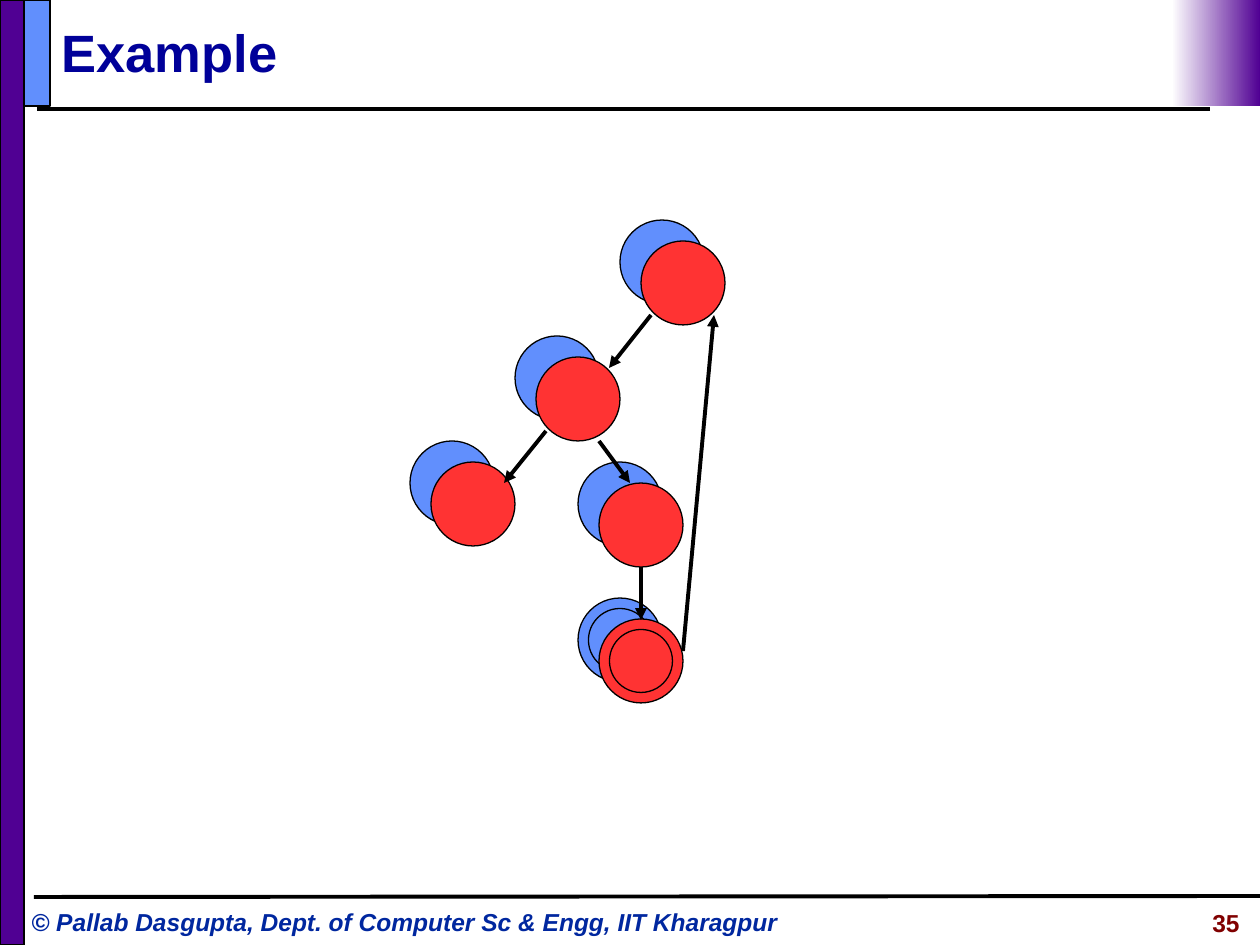
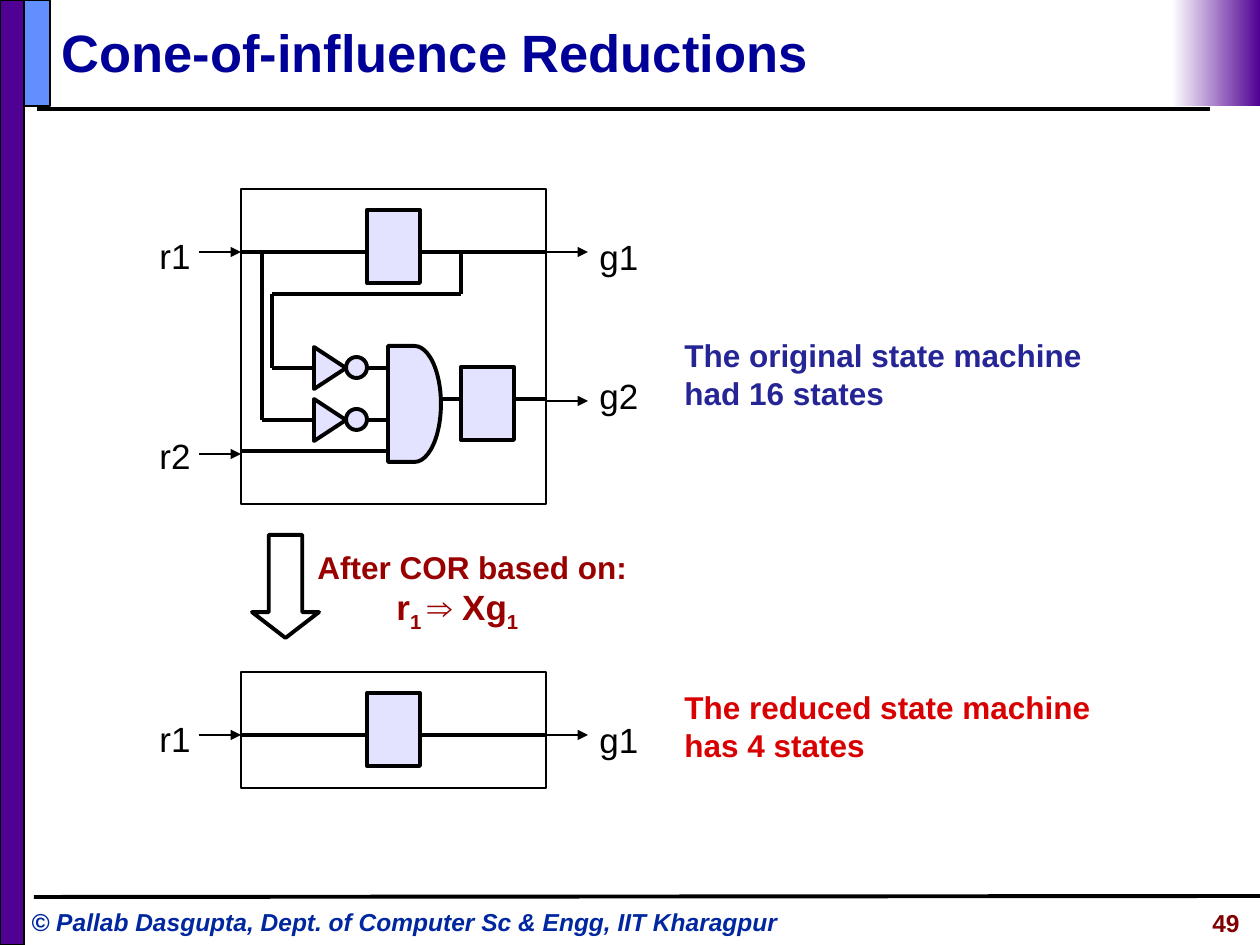
from lxml import etree
from pptx import Presentation
from pptx.dml.color import RGBColor
from pptx.enum.shapes import MSO_CONNECTOR as CONN, MSO_SHAPE as SHAPE
from pptx.enum.text import MSO_ANCHOR as ANCHOR, MSO_AUTO_SIZE as FIT, PP_ALIGN as ALIGN
from pptx.oxml.ns import qn
from pptx.util import Emu, Pt

BLACK = RGBColor(0x00, 0x00, 0x00)
WHITE = RGBColor(0xFF, 0xFF, 0xFF)
PURPLE = RGBColor(0x50, 0x00, 0x93)
BLUE = RGBColor(0x61, 0x8F, 0xFD)
RED = RGBColor(0xFF, 0x33, 0x33)
LILAC = RGBColor(0xE3, 0xE3, 0xFF)
TITLE_BLUE = RGBColor(0x00, 0x00, 0x99)
FOOTER_BLUE = RGBColor(0x00, 0x27, 0x9F)
PAGE_RED = RGBColor(0x80, 0x00, 0x00)
COR_RED = RGBColor(0x99, 0x00, 0x00)
BEFORE_BLUE = RGBColor(0x25, 0x25, 0x95)
AFTER_RED = RGBColor(0xD8, 0x00, 0x00)

FONT = "Arial"
THIN, THICK = 0.75, 2.25
PAGE_W, PAGE_H = 1260, 945
FOOTER = "© Pallab Dasgupta, Dept. of Computer Sc & Engg, IIT Kharagpur"


def px(n):
    """Turn slide pixels into EMU."""
    return Emu(round(n * 914400 / 126))


def style_paragraph(p, size, color, bold=False, italic=False, align=ALIGN.LEFT):
    """Set the font and alignment of one paragraph."""
    p.alignment = align
    f = p.font
    f.name, f.size, f.bold, f.italic = FONT, Pt(size), bold, italic
    f.color.rgb = color


def add_text(shapes, box, lines, size, color, **style):
    """Add a text box with one paragraph per line."""
    tf = shapes.add_textbox(*map(px, box)).text_frame
    tf.word_wrap = True
    tf.text = "\n".join(lines)
    for p in tf.paragraphs:
        style_paragraph(p, size, color, **style)
    return tf


def add_shape(shapes, kind, box, fill=None, weight=THIN):
    """Add a preset shape with a black outline."""
    s = shapes.add_shape(kind, *map(px, box))
    s.shadow.inherit = False
    if fill is None:
        s.fill.background()
    else:
        s.fill.solid()
        s.fill.fore_color.rgb = fill
    s.line.color.rgb = BLACK
    s.line.width = Pt(weight)
    return s


def add_line(shapes, start, end, weight=THICK, arrow=False):
    """Add a straight black line, with an arrowhead at its end if asked."""
    c = shapes.add_connector(CONN.STRAIGHT, *map(px, (*start, *end)))
    c.line.color.rgb = BLACK
    c.line.width = Pt(weight)
    if arrow:
        etree.SubElement(c.line._get_or_add_ln(), qn("a:tailEnd"), type="triangle")
    etree.SubElement(c._element.spPr, qn("a:effectLst"))


def add_wire(shapes, origin, points):
    """Draw thick lines through points given relative to an origin."""
    x, y = origin
    spots = [(x + dx, y + dy) for dx, dy in points]
    for start, end in zip(spots, spots[1:]):
        add_line(shapes, start, end)


def add_framed_slide(prs, title, number):
    """Add a slide with the shared title, bands, rules and footer."""
    slide = prs.slides.add_slide(prs.slide_layouts[5])
    shapes = slide.shapes
    add_line(shapes, (37, 109), (1210, 109))
    add_text(shapes, (19, 901, 803, 43), [FOOTER], 14, FOOTER_BLUE, bold=True, italic=True)
    add_shape(shapes, SHAPE.RECTANGLE, (0, 0, 24, PAGE_H), PURPLE, 1)
    add_line(shapes, (34, 897), (PAGE_W, 896))
    add_shape(shapes, SHAPE.RECTANGLE, (24, 0, 26, 106), BLUE, 1)

    fade = add_shape(shapes, SHAPE.RECTANGLE, (1172, 0, 88, 106))
    fade.line.fill.background()
    fade.fill.gradient()
    fade.fill.gradient_angle = 180
    for stop, color in zip(fade.fill.gradient_stops, (PURPLE, WHITE)):
        stop.color.rgb = color

    head = shapes.title
    head.left, head.top, head.width, head.height = map(px, (49, 13, 1147, 77))
    tf = head.text_frame
    tf.text = title
    tf.auto_size = FIT.NONE
    tf.vertical_anchor = ANCHOR.MIDDLE
    style_paragraph(tf.paragraphs[0], 30, TITLE_BLUE, bold=True)
    add_text(shapes, (1031, 902, 221, 44), [str(number)], 14, PAGE_RED,
             bold=True, align=ALIGN.RIGHT)
    return slide


def draw_state_graph(shapes, origin):
    """Draw paired state circles and their transitions."""
    x, y = origin
    size, shift, ring = 84, 21, 63
    states = [(0, 221), (105, 116), (168, 242), (168, 378), (210, 0)]
    accepting = states[3]
    transitions = [
        ((273, 431), (304, 95)), ((241, 95), (199, 148)), ((136, 211), (94, 263)),
        ((189, 221), (220, 263)), ((231, 347), (231, 400)),
    ]

    def circle(state, offset, diameter, fill):
        """Draw one circle of a state."""
        add_shape(shapes, SHAPE.OVAL,
                  (x + state[0] + offset, y + state[1] + offset, diameter, diameter), fill)

    inset = (size - ring) / 2
    for state in states:
        circle(state, 0, size, BLUE)
    circle(accepting, inset, ring, BLUE)
    for state in states:
        circle(state, shift, size, RED)
    for (x1, y1), (x2, y2) in transitions:
        add_line(shapes, (x + x1, y + y1), (x + x2, y + y2), arrow=True)
    circle(accepting, shift + inset, ring, RED)


def draw_port(shapes, box, name, wire_y, label_y):
    """Draw an input (r) or output (g) arrow and its label."""
    x, y, w, _ = box
    reach = 42
    start, label_x = (x - reach, x - 94) if name[0] == "r" else (x + w, x + w + 41)
    add_line(shapes, (start, y + wire_y), (start + reach, y + wire_y), THIN, arrow=True)
    add_text(shapes, (label_x, y + label_y, 70, 55), [name], 20, BLACK)


def draw_register(shapes, x, y):
    """Draw one register block."""
    add_shape(shapes, SHAPE.RECTANGLE, (x, y, 53, 73), LILAC, THICK)


def draw_latch(shapes, box):
    """Draw a circuit frame with the r1 to g1 path through a register."""
    x, y, w, _ = box
    add_shape(shapes, SHAPE.RECTANGLE, box)
    draw_port(shapes, box, "r1", 63, 39)
    draw_port(shapes, box, "g1", 63, 40)
    draw_register(shapes, x + 126, y + 21)
    for ends in ((0, 126), (179, w)):
        add_wire(shapes, (x, y), [(end, 63) for end in ends])


def draw_full_circuit(shapes, box):
    """Draw the circuit with two inputs, two inverters and an AND gate."""
    x, y, w, _ = box
    draw_latch(shapes, box)
    draw_port(shapes, box, "r2", 265, 239)
    draw_port(shapes, box, "g2", 212, 179)
    add_shape(shapes, SHAPE.FLOWCHART_DELAY, (x + 147, y + 157, 53, 116), LILAC, THICK)
    draw_register(shapes, x + 220, y + 178)
    for mid in (179, 231):
        add_shape(shapes, SHAPE.OVAL, (x + 105, y + mid - 11, 21, 21), LILAC, THICK)
        inverter = add_shape(shapes, SHAPE.FLOWCHART_MERGE,
                             (x + 68, y + mid - 16, 42, 32), LILAC, THICK)
        inverter.rotation = 270
        add_wire(shapes, (x, y), [(126, mid), (147, mid)])
    for points in (
        [(21, 63), (21, 231), (73, 231)],
        [(220, 63), (220, 105), (31, 105), (31, 179), (73, 179)],
        [(0, 262), (147, 262)],
        [(200, 210), (220, 210)],
        [(273, 210), (w, 210)],
    ):
        add_wire(shapes, (x, y), points)


def draw_reduction_step(shapes, origin):
    """Draw the down arrow and the property the reduction is based on."""
    x, y = origin
    tf = add_text(shapes, (x + 53, y + 11, 336, 89), ["After COR based on:", ""],
                  18, COR_RED, bold=True)
    for p in tf.paragraphs:
        p.line_spacing = 0.9
    p = tf.paragraphs[1]
    p.font.size = Pt(20)
    p._p.get_or_add_pPr().set("marL", str(px(79)))
    for text, subscript in (("r", False), ("1 ", True), ("⇒ Xg", False), ("1", True)):
        r = p.add_run()
        r.text = text
        if subscript:
            r.font._element.set("baseline", "-25000")
    arrow = add_shape(shapes, SHAPE.DOWN_ARROW, (x, y, 67, 103), weight=THICK)
    arrow.adjustments[0], arrow.adjustments[1] = 0.5, 0.385


def build_example(prs):
    """Build the state graph slide."""
    slide = add_framed_slide(prs, "Example", 35)
    draw_state_graph(slide.shapes, (410, 220))


def build_cone_of_influence(prs):
    """Build the slide comparing the full and reduced circuits."""
    shapes = add_framed_slide(prs, "Cone-of-influence Reductions", 49).shapes
    draw_full_circuit(shapes.add_group_shape().shapes, (241, 189, 305, 315))
    draw_reduction_step(shapes, (252, 535))
    draw_latch(shapes.add_group_shape().shapes, (241, 672, 305, 116))
    for top, color, lines in (
        (330, BEFORE_BLUE, ["The original state machine", "had 16 states"]),
        (682, AFTER_RED, ["The reduced state machine", "has 4 states"]),
    ):
        add_text(shapes, (672, top, 440, 88), lines, 18, color, bold=True)


def main():
    """Build and save the presentation."""
    prs = Presentation()
    prs.slide_width, prs.slide_height = px(PAGE_W), px(PAGE_H)
    build_example(prs)
    build_cone_of_influence(prs)
    prs.save("out.pptx")


if __name__ == "__main__":
    main()
